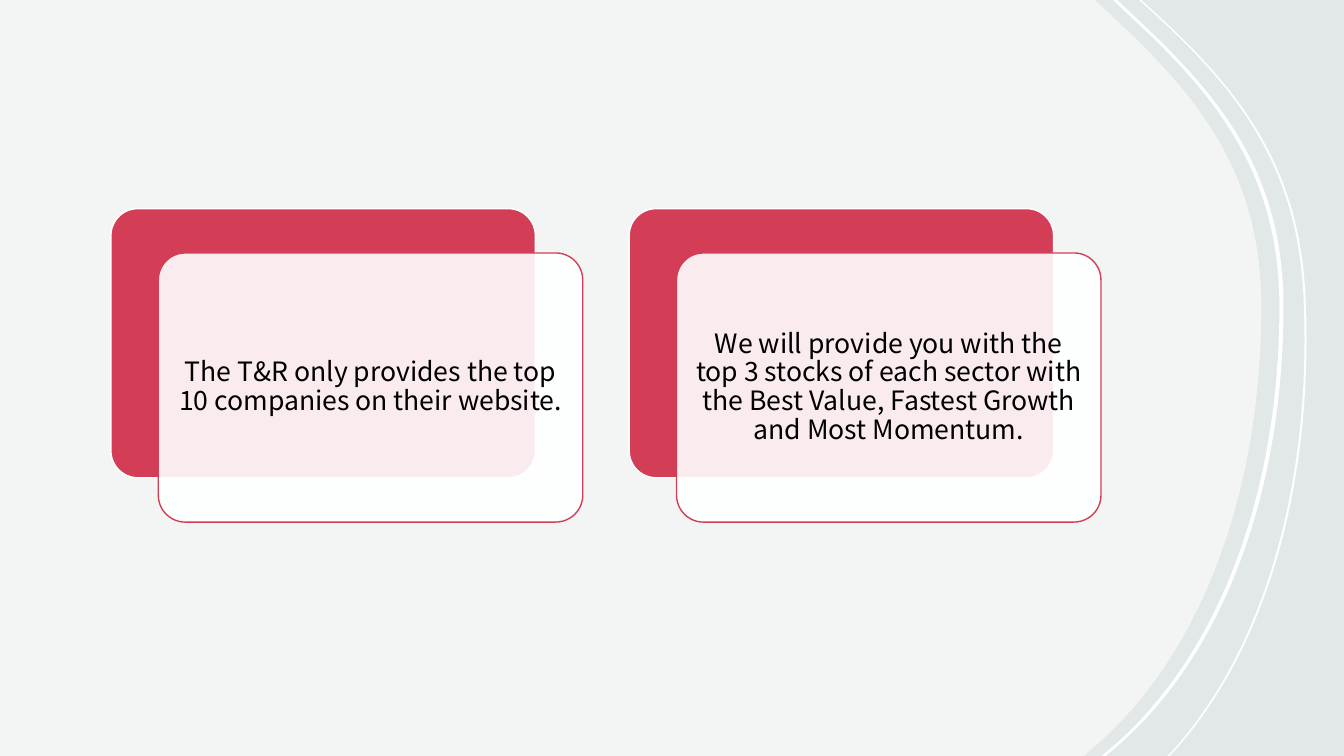
import lxml.etree
import pptx
import pptx.dml.color
import pptx.enum.shapes
import pptx.enum.text
import pptx.oxml
import pptx.oxml.ns
import pptx.util

EMU_PER_PX = 9144  # 100 px to the inch
SLIDE_WIDTH, SLIDE_HEIGHT = 1333, 750
CARD_WIDTH, CARD_HEIGHT = 421, 267
CARD_TOP = 207
CARD_LEFTS = (110, 624)
FRONT_OFFSET_X, FRONT_OFFSET_Y = 47, 44
TEXT_INSET = 8

FONT = "Noto Sans CJK JP"
BACKGROUND = pptx.dml.color.RGBColor(0xE2, 0xE8, 0xE7)
WHITE = pptx.dml.color.RGBColor(0xFF, 0xFF, 0xFF)
RED = pptx.dml.color.RGBColor(0xD3, 0x3D, 0x56)
BLACK = pptx.dml.color.RGBColor(0, 0, 0)

# Each edge runs down the slide: a line, two Bézier curves, a line.
INNER_EDGE = [
    (1104, 0), (1141, 35), (1212, 104), (1269, 179), (1269, 304),
    (1269, 492), (1207, 657), (1095, 748), (1093, 750),
]
OUTER_EDGE = [
    (1130, 0), (1156, 24), (1229, 93), (1288, 168), (1293, 297),
    (1301, 480), (1254, 645), (1161, 747), (1158, 750),
]
EDGE_CURVES = (2, 5)  # positions of the first control point of each curve

MESSAGES = (
    "The T&R only provides the top 10 companies on their website.",
    "We will provide you with the top 3 stocks of each sector with "
    "the Best Value, Fastest Growth and Most Momentum.",
)


def px(length):
    return pptx.util.Emu(length * EMU_PER_PX)


def shift(points, distance):
    return [(x + distance, y) for x, y in points]


def format_shape(shape, fill, line=None, opacity=100):
    shape.shadow.inherit = False
    shape.fill.solid()
    shape.fill.fore_color.rgb = fill
    if opacity < 100:
        color = shape.element.spPr.find(".//" + pptx.oxml.ns.qn("a:srgbClr"))
        alpha = lxml.etree.SubElement(color, pptx.oxml.ns.qn("a:alpha"))
        alpha.set("val", str(opacity * 1000))
    if line is None:
        shape.line.fill.background()
    else:
        shape.line.color.rgb = line
        shape.line.width = pptx.util.Pt(1)


def bend_outline(shape, curve_starts):
    """Turn the three segments from each start into one cubic curve."""
    path_element = shape.element.spPr.find(".//" + pptx.oxml.ns.qn("a:path"))
    segments = list(path_element)
    for start in curve_starts:
        curve = pptx.oxml.parse_xml(
            f'<a:cubicBezTo {pptx.oxml.ns.nsdecls("a")}/>'
        )
        segments[start].addprevious(curve)
        for segment in segments[start:start + 3]:
            curve.append(segment[0])
            path_element.remove(segment)


def add_outline(slide, points, curve_starts, opacity=100):
    corners = [(px(x), px(y)) for x, y in points]
    builder = slide.shapes.build_freeform(*corners[0], scale=1.0)
    builder.add_line_segments(corners[1:], close=True)
    shape = builder.convert_to_shape()
    bend_outline(shape, curve_starts)
    format_shape(shape, WHITE, opacity=opacity)


def add_strip(slide, edge, width):
    """Fill the band between an edge and its shifted return."""
    return_curves = tuple(start + len(edge) for start in EDGE_CURVES)
    add_outline(
        slide, edge + shift(edge, width)[::-1], EDGE_CURVES + return_curves
    )


def add_rounded_card(slide, left, top, fill, line, opacity=100):
    card = slide.shapes.add_shape(
        pptx.enum.shapes.MSO_SHAPE.ROUNDED_RECTANGLE,
        px(left), px(top), px(CARD_WIDTH), px(CARD_HEIGHT),
    )
    card.adjustments[0] = 0.1
    format_shape(card, fill, line, opacity)
    return card


def write_text(shape, text, size=19, color=BLACK, font=FONT, line_spacing=0.9):
    frame = shape.text_frame
    frame.word_wrap = True
    frame.vertical_anchor = pptx.enum.text.MSO_ANCHOR.MIDDLE
    frame.margin_left = frame.margin_right = px(TEXT_INSET)
    frame.margin_top = frame.margin_bottom = px(TEXT_INSET)
    paragraph = frame.paragraphs[0]
    paragraph.alignment = pptx.enum.text.PP_ALIGN.CENTER
    paragraph.line_spacing = line_spacing
    run = paragraph.add_run()
    run.text = text
    run.font.name = font
    run.font.size = pptx.util.Pt(size)
    run.font.color.rgb = color


def add_backdrop(slide):
    slide.background.fill.solid()
    slide.background.fill.fore_color.rgb = BACKGROUND
    panel = [*shift(INNER_EDGE, -18), (0, SLIDE_HEIGHT), (0, 0)]
    add_outline(slide, panel, EDGE_CURVES, opacity=60)
    add_strip(slide, OUTER_EDGE, 2)
    add_strip(slide, INNER_EDGE, 4)


def add_message(slide, left, text):
    add_rounded_card(slide, left, CARD_TOP, RED, WHITE)
    front = add_rounded_card(
        slide, left + FRONT_OFFSET_X, CARD_TOP + FRONT_OFFSET_Y, WHITE, RED, opacity=90
    )
    write_text(front, text)


def main():
    presentation = pptx.Presentation()
    presentation.slide_width = px(SLIDE_WIDTH)
    presentation.slide_height = px(SLIDE_HEIGHT)
    slide = presentation.slides.add_slide(presentation.slide_layouts[6])
    add_backdrop(slide)
    for left, text in zip(CARD_LEFTS, MESSAGES):
        add_message(slide, left, text)
    presentation.save("out.pptx")


if __name__ == "__main__":
    main()
